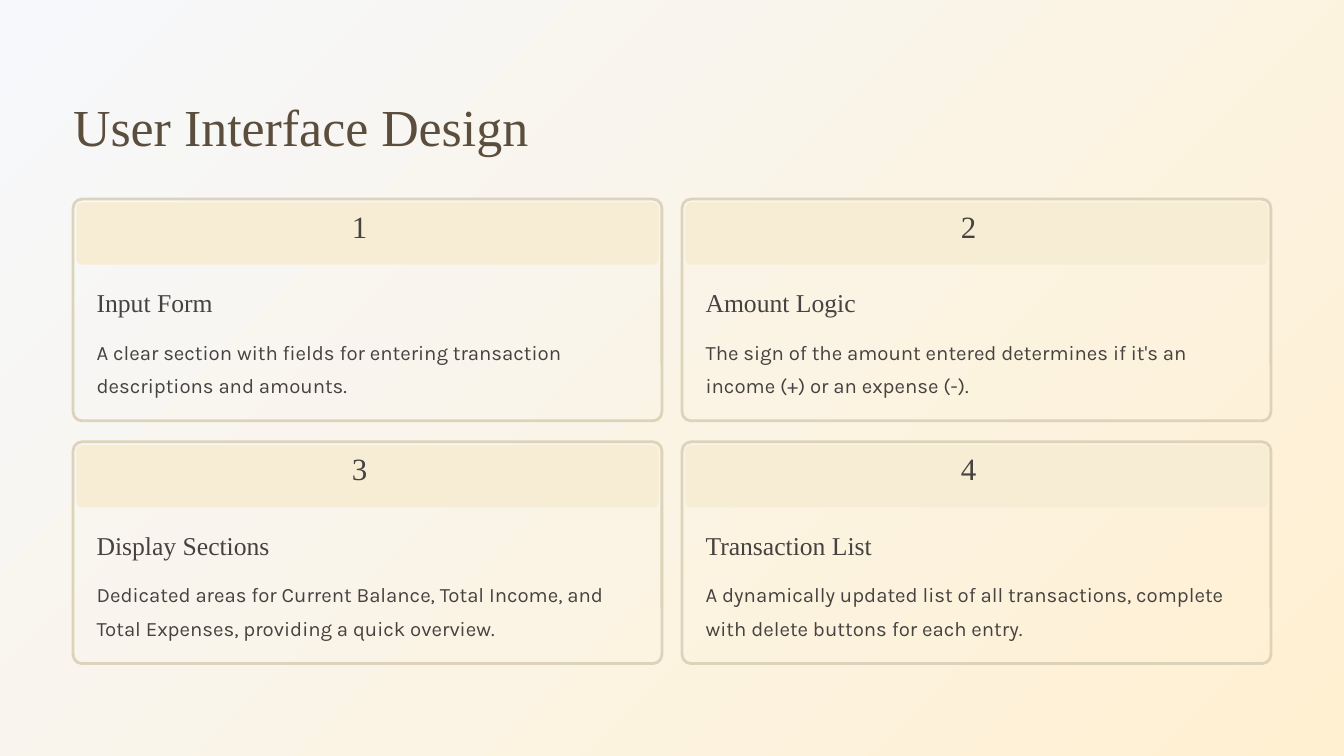
from pptx import Presentation, util as u
from pptx.dml.color import RGBColor
from pptx.enum import shapes, text

SERIF, SANS = "Times New Roman", "Karla"
TITLE_COLOR, TEXT_COLOR = "5C4E3D", "454240"
BORDER_COLOR, BAND_COLOR = "DDD3BA", "F7EDD4"

GRID_LEFT, GRID_TOP = 0.87, 2.37
CARD_WIDTH, CARD_HEIGHT = 7.01, 2.64
COLUMN_STEP, ROW_STEP = 7.25, 2.89
COLUMNS = 2
BAND_INSET, TEXT_INSET = 0.04, 0.28

CARDS = [
    ("Input Form",
     "A clear section with fields for entering transaction descriptions and amounts."),
    ("Amount Logic",
     "The sign of the amount entered determines if it's an income (+) or an expense (-)."),
    ("Display Sections",
     "Dedicated areas for Current Balance, Total Income, and Total Expenses, "
     "providing a quick overview."),
    ("Transaction List",
     "A dynamically updated list of all transactions, complete with delete buttons "
     "for each entry."),
]


def color(hex_string):
    return RGBColor.from_string(hex_string)


def set_background(slide, start, end):
    """Diagonal gradient from the top left to the bottom right."""
    fill = slide.background.fill
    fill.gradient()
    fill.gradient_angle = 315
    for stop, hex_string in zip(fill.gradient_stops, (start, end)):
        stop.color.rgb = color(hex_string)


def add_text(slide, box, words, size, spacing, font=SERIF, hex_string=TEXT_COLOR, wrap=False):
    frame = slide.shapes.add_textbox(*map(u.Inches, box)).text_frame
    frame.margin_left = frame.margin_top = frame.margin_right = frame.margin_bottom = 0
    frame.vertical_anchor = text.MSO_ANCHOR.TOP
    frame.word_wrap = wrap
    paragraph = frame.paragraphs[0]
    paragraph.text = words
    paragraph.line_spacing = u.Pt(spacing)
    paragraph.font.name = font
    paragraph.font.size = u.Pt(size)
    paragraph.font.color.rgb = color(hex_string)


def add_rounded(slide, box, rounding, fill=None, line=None):
    shape = slide.shapes.add_shape(shapes.MSO_SHAPE.ROUNDED_RECTANGLE, *map(u.Inches, box))
    shape.adjustments[0] = rounding
    shape.shadow.inherit = False
    if fill:
        shape.fill.solid()
        shape.fill.fore_color.rgb = color(fill)
    else:
        shape.fill.background()
    if line:
        shape.line.color.rgb = color(line)
        shape.line.width = u.Pt(2.4)
    else:
        shape.line.fill.background()


def add_card(slide, index, heading, body):
    row, column = divmod(index, COLUMNS)
    left = GRID_LEFT + column * COLUMN_STEP
    top = GRID_TOP + row * ROW_STEP
    text_left = left + TEXT_INSET
    add_rounded(slide, (left, top, CARD_WIDTH, CARD_HEIGHT), 0.04, line=BORDER_COLOR)
    add_rounded(slide, (left + BAND_INSET, top + BAND_INSET, CARD_WIDTH - 2 * BAND_INSET, 0.74),
                0.086, fill=BAND_COLOR)
    add_text(slide, (left + 3.32, top + 0.17, 0.37, 0.47), str(index + 1), 26.5, 26.5)
    add_text(slide, (text_left, top + 1.03, 3.1, 0.39), heading, 22, 27.5)
    add_text(slide, (text_left, top + 1.57, CARD_WIDTH - 2 * TEXT_INSET, 0.79), body,
             17.5, 28.5, font=SANS, wrap=True)


def main():
    presentation = Presentation()
    presentation.slide_width, presentation.slide_height = u.Inches(16), u.Inches(9)
    slide = presentation.slides.add_slide(presentation.slide_layouts[6])
    set_background(slide, "F6F8FC", "FFF0D1")
    add_text(slide, (GRID_LEFT, 1.1, 6.84, 0.78), "User Interface Design", 44.5, 55.5,
             hex_string=TITLE_COLOR)
    for index, (heading, body) in enumerate(CARDS):
        add_card(slide, index, heading, body)
    presentation.save("out.pptx")


if __name__ == "__main__":
    main()
